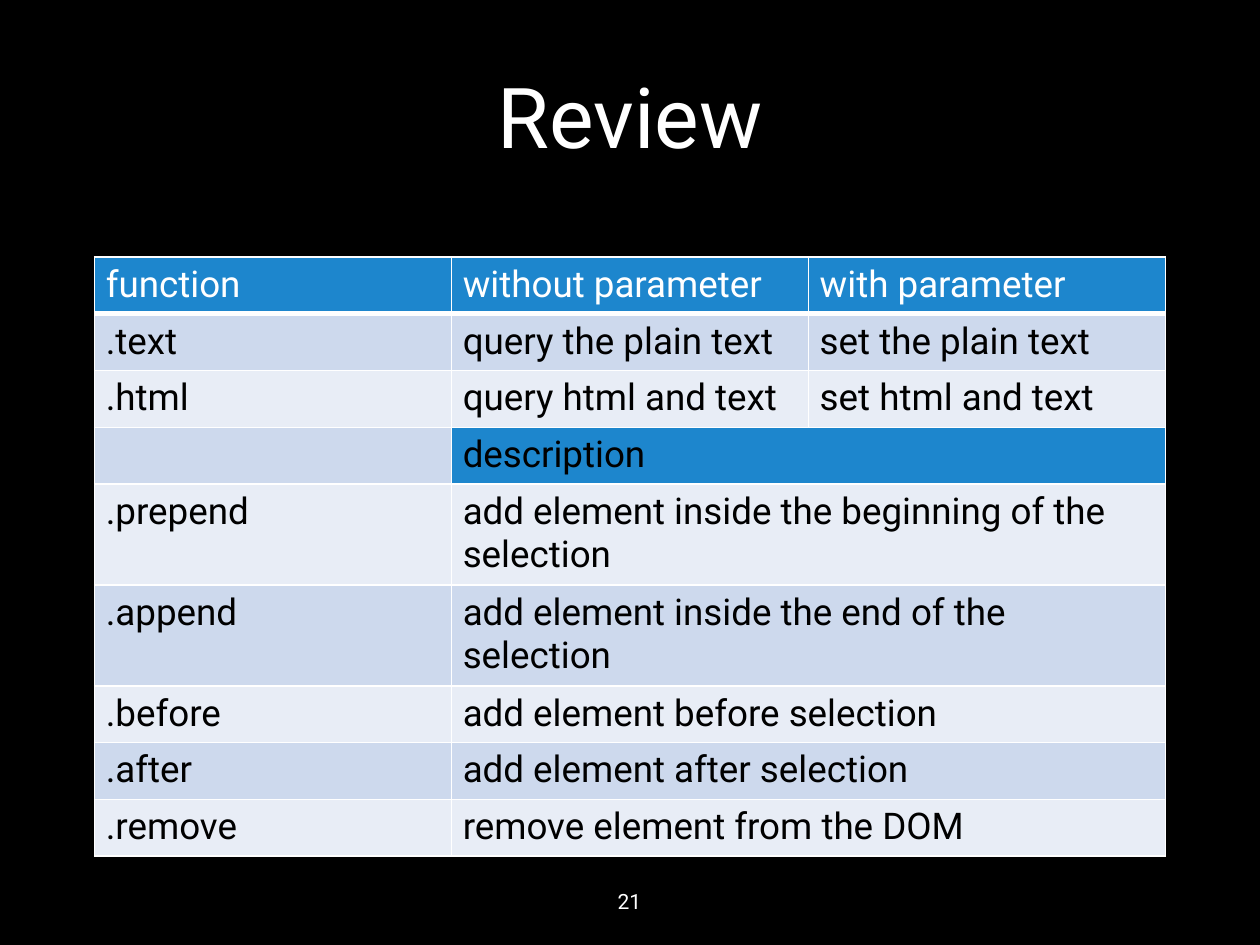
from dataclasses import dataclass

from lxml.etree import SubElement
from pptx import Presentation
from pptx.dml.color import RGBColor
from pptx.enum.text import MSO_ANCHOR, PP_ALIGN
from pptx.oxml.ns import qn
from pptx.util import Inches, Pt


@dataclass(frozen=True)
class Theme:
    font: str = "Roboto"
    background: str = "000000"
    light: str = "FFFFFF"
    dark: str = "000000"
    accent: str = "1D86CD"
    bands: tuple = ("CDD9ED", "E8EDF6")
    title_size: float = 48
    table_size: float = 21
    number_size: float = 12
    thin_border: float = 1
    header_border: float = 3


ROWS = [
    ("function", "without parameter", "with parameter"),
    (".text", "query the plain text", "set the plain text"),
    (".html", "query html and text", "set html and text"),
    ("", "description"),
    (".prepend", "add element inside the beginning of the selection"),
    (".append", "add element inside the end of the selection"),
    (".before", "add element before selection"),
    (".after", "add element after selection"),
    (".remove", "remove element from the DOM"),
]
TWO_LINE_ROWS = (".prepend", ".append")


class SlideBuilder:
    def __init__(self, presentation, theme):
        self.theme = theme
        self.slide = presentation.slides.add_slide(presentation.slide_layouts[6])
        fill = self.slide.background.fill
        fill.solid()
        fill.fore_color.rgb = RGBColor.from_string(theme.background)

    def style_text(self, paragraph, size, color):
        for run in paragraph.runs:
            run.font.name = self.theme.font
            run.font.size = Pt(size)
            run.font.color.rgb = RGBColor.from_string(color)

    def add_label(self, text, left, top, width, height, size):
        shape = self.slide.shapes.add_textbox(
            Inches(left), Inches(top), Inches(width), Inches(height)
        )
        text_frame = shape.text_frame
        text_frame.word_wrap = True
        text_frame.vertical_anchor = MSO_ANCHOR.MIDDLE
        text_frame.text = text
        paragraph = text_frame.paragraphs[0]
        paragraph.alignment = PP_ALIGN.CENTER
        self.style_text(paragraph, size, self.theme.light)

    def add_borders(self, cell, top, bottom):
        properties = cell._tc.get_or_add_tcPr()
        thin = self.theme.thin_border
        sides = {"a:lnL": thin, "a:lnR": thin, "a:lnT": top, "a:lnB": bottom}
        for side, width in sides.items():
            line = SubElement(properties, qn(side), w=str(Pt(width)))
            fill = SubElement(line, qn("a:solidFill"))
            SubElement(fill, qn("a:srgbClr"), val=self.theme.light)

    def add_cell(self, cell, text, fill_color, text_color, top, bottom):
        self.add_borders(cell, top, bottom)
        cell.fill.solid()
        cell.fill.fore_color.rgb = RGBColor.from_string(fill_color)
        cell.margin_left = cell.margin_right = Inches(0.09)
        cell.margin_top = cell.margin_bottom = Inches(0.05)
        cell.text_frame.text = text
        self.style_text(cell.text_frame.paragraphs[0], self.theme.table_size, text_color)

    def add_table(self, rows, left, top, width, line_height, two_line_height):
        theme = self.theme
        heights = [two_line_height if row[0] in TWO_LINE_ROWS else line_height for row in rows]
        column_count = len(rows[0])
        table = self.slide.shapes.add_table(
            len(rows), column_count, Inches(left), Inches(top), Inches(width), Inches(sum(heights))
        ).table
        for column in table.columns:
            column.width = Inches(width / column_count)
        for row_index, texts in enumerate(rows):
            table.rows[row_index].height = Inches(heights[row_index])
            if len(texts) < column_count:
                table.cell(row_index, 1).merge(table.cell(row_index, column_count - 1))
            text_color = theme.dark if row_index else theme.light
            top_border = theme.header_border if row_index == 1 else theme.thin_border
            bottom_border = theme.thin_border if row_index else theme.header_border
            for column_index in range(column_count):
                text = texts[column_index] if column_index < len(texts) else ""
                is_heading = row_index == 0 or text == "description"
                fill_color = theme.accent if is_heading else theme.bands[(row_index - 1) % 2]
                cell = table.cell(row_index, column_index)
                self.add_cell(cell, text, fill_color, text_color, top_border, bottom_border)


def main():
    presentation = Presentation()
    presentation.slide_width = Inches(10)
    presentation.slide_height = Inches(7.5)
    theme = Theme()
    builder = SlideBuilder(presentation, theme)
    builder.add_label("Review", 0.75, 0.13, 8.5, 1.56, theme.title_size)
    builder.add_table(ROWS, 0.75, 2.04, 8.5, 0.44, 0.78)
    builder.add_label("21", 4.62, 6.95, 0.75, 0.4, theme.number_size)
    presentation.save("out.pptx")


if __name__ == "__main__":
    main()
